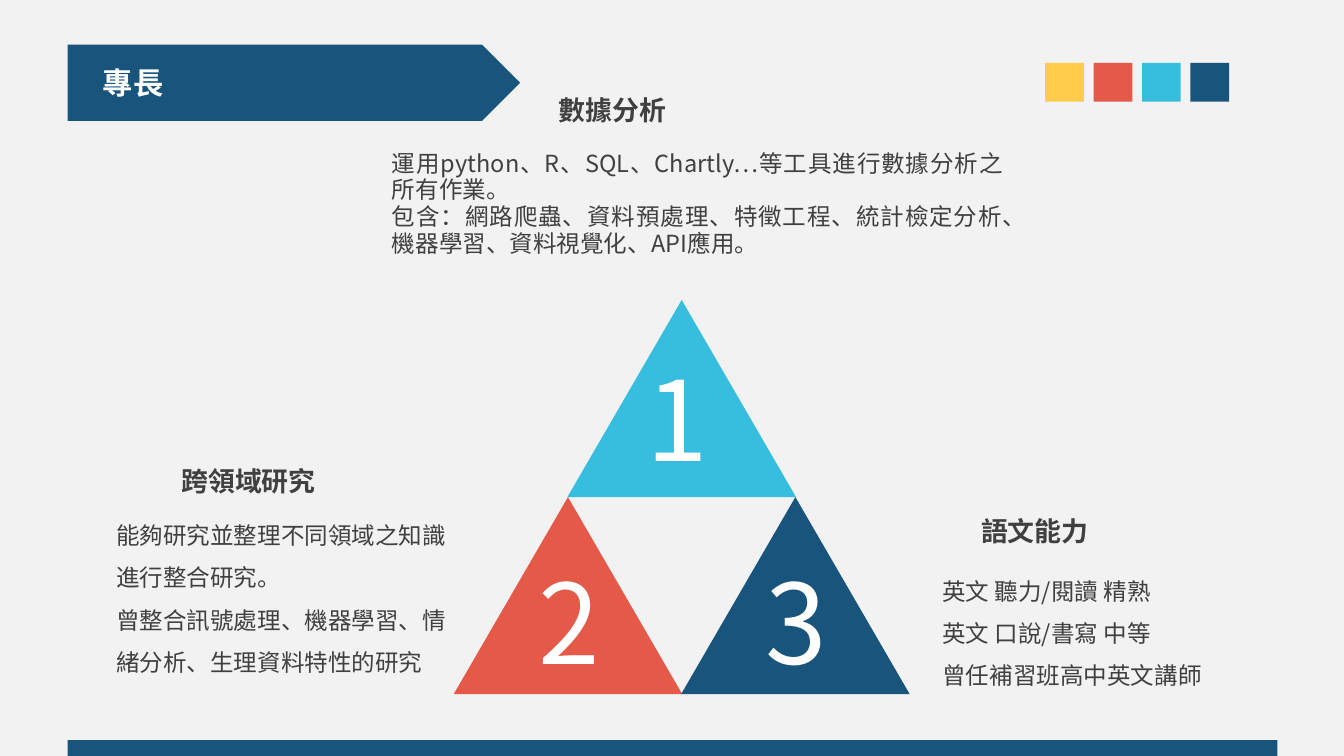
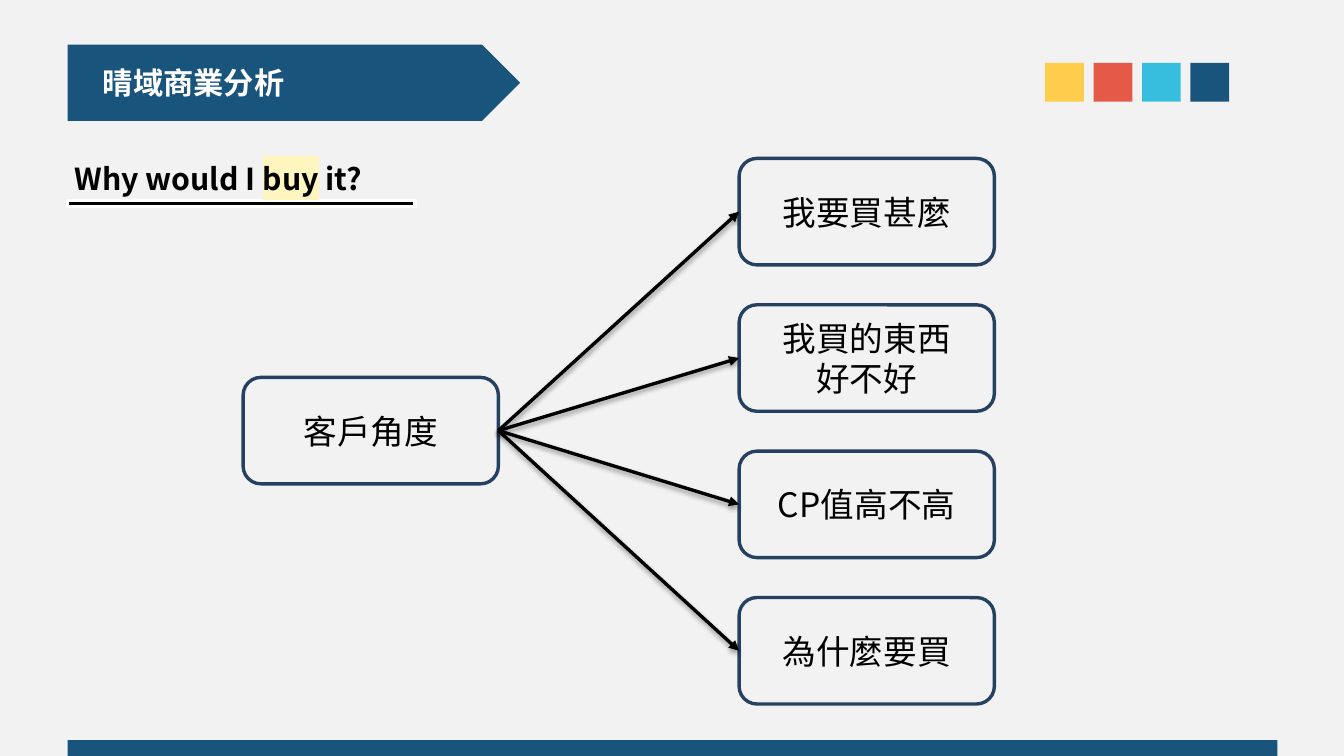
from dataclasses import dataclass

from lxml import etree
from pptx import Presentation
from pptx.dml.color import RGBColor
from pptx.enum import shapes, text
from pptx.oxml.ns import qn
from pptx.util import Inches, Pt

FONT = "Noto Sans CJK SC"
NAVY, RED, CYAN, YELLOW = "19547C", "E55948", "37BEDE", "FFCC4C"
PAPER, INK, BLACK, WHITE = "F2F2F2", "404040", "000000", "FFFFFF"
OUTLINE, MARKER = "254061", "FEF5BF"
KIND = shapes.MSO_SHAPE
ALIGN = text.PP_ALIGN


@dataclass
class Style:
    size: float
    colour: str = INK
    bold: bool = False
    align: ALIGN = ALIGN.LEFT
    spacing: object = None
    inset: tuple = (0.1, 0.05)


@dataclass
class Skill:
    heading: str
    heading_at: tuple
    body: str
    body_at: tuple
    body_style: Style


@dataclass
class Tile:
    digit: str
    column: int
    row: int
    colour: str
    digit_at: tuple


TITLE = Style(18, WHITE, True)
QUESTION = Style(18, BLACK, True)
DIGIT = Style(66, WHITE, align=ALIGN.CENTER)
NODE = Style(20, BLACK, align=ALIGN.CENTER)
HEADING = Style(16, INK, True, ALIGN.JUSTIFY, Pt(16), (0.13, 0.07))
DENSE = Style(14, INK, False, ALIGN.JUSTIFY, Pt(16), (0.13, 0.07))
AIRY = Style(14, INK, False, ALIGN.LEFT, 1.5, (0.13, 0.07))

SKILLS = [
    Skill("數據分析", (4.49, 0.75, 2.03, 0.36),
          "運用python、R、SQL、Chartly…等工具進行數據分析之所有作業。\n"
          "包含：網路爬蟲、資料預處理、特徵工程、統計檢定分析、機器學習、資料視覺化、API應用。",
          (3.11, 1.17, 5.31, 1.03), DENSE),
    Skill("跨領域研究", (1.37, 3.82, 2.41, 0.36),
          "能夠研究並整理不同領域之知識進行整合研究。\n"
          "曾整合訊號處理、機器學習、情緒分析、生理資料特性的研究",
          (0.83, 4.12, 3.05, 1.51), AIRY),
    Skill("語文能力", (7.98, 4.23, 2.41, 0.36),
          "英文 聽力/閱讀 精熟\n英文 口說/書寫 中等\n曾任補習班高中英文講師",
          (7.66, 4.58, 3.05, 1.16), AIRY),
]
TILES = [
    Tile("1", 1, 0, CYAN, (5.2, 2.85)),
    Tile("2", 0, 1, RED, (4.31, 4.53)),
    Tile("3", 2, 1, NAVY, (6.18, 4.53)),
]
QUESTIONS = ["我要買甚麼", "我買的東西\n好不好", "CP值高不高", "為什麼要買"]


def rgb(colour: str) -> RGBColor:
    return RGBColor.from_string(colour)


def lengths(place: tuple) -> list:
    return [Inches(value) for value in place]


def format_span(span, style: Style) -> None:
    font = span.font
    font.size, font.bold, font.name = Pt(style.size), style.bold, FONT
    font.color.rgb = rgb(style.colour)
    latin = span._r.rPr.find(qn("a:latin"))
    east_asian = etree.Element(qn("a:ea"), typeface=FONT)
    latin.addnext(east_asian)


def format_frame(frame, style: Style) -> None:
    frame.word_wrap = True
    frame.margin_left = frame.margin_right = Inches(style.inset[0])
    frame.margin_top = frame.margin_bottom = Inches(style.inset[1])
    for para in frame.paragraphs:
        para.alignment = style.align
        if style.spacing is not None:
            para.line_spacing = style.spacing
        for span in para.runs:
            format_span(span, style)


def add_text(page, place: tuple, words: str, style: Style):
    box = page.shapes.add_textbox(*lengths(place))
    box.text_frame.text = words
    format_frame(box.text_frame, style)
    return box


def add_block(page, kind, place: tuple, fill: str = "", line: str = ""):
    block = page.shapes.add_shape(kind, *lengths(place))
    block.shadow.inherit = False
    if fill:
        block.fill.solid()
        block.fill.fore_color.rgb = rgb(fill)
    else:
        block.fill.background()
    if line:
        block.line.color.rgb = rgb(line)
        block.line.width = Pt(2)
    else:
        block.line.fill.background()
    return block


def add_page(deck, words: str):
    page = deck.slides.add_slide(deck.slide_layouts[5])
    add_block(page, KIND.PENTAGON, (0.56, 0.37, 3.74, 0.63), NAVY)
    add_block(page, KIND.RECTANGLE, (0.56, 6.12, 10, 0.16), NAVY)
    for index, colour in enumerate((YELLOW, RED, CYAN, NAVY)):
        add_block(page, KIND.RECTANGLE, (8.64 + 0.4 * index, 0.52, 0.32, 0.32), colour)
    title = page.shapes.title
    title.left, title.top, title.width, title.height = lengths((0.75, 0.48, 3.1, 0.4))
    title.text_frame.text = words
    title.text_frame.auto_size = text.MSO_AUTO_SIZE.NONE
    title.text_frame.vertical_anchor = text.MSO_ANCHOR.TOP
    format_frame(title.text_frame, TITLE)
    title.element.getparent().append(title.element)
    return page


def add_node(page, left: float, top: float, words: str):
    node = add_block(page, KIND.ROUNDED_RECTANGLE, (left, top, 2.11, 0.88), line=OUTLINE)
    node.text_frame.text = words
    node.text_frame.vertical_anchor = text.MSO_ANCHOR.MIDDLE
    format_frame(node.text_frame, NODE)
    return node


def add_arrow(page, start, end) -> None:
    arrow = page.shapes.add_connector(shapes.MSO_CONNECTOR.STRAIGHT, 0, 0, 0, 0)
    arrow.begin_connect(start, 3)
    arrow.end_connect(end, 1)
    arrow.line.color.rgb = rgb(BLACK)
    arrow.line.width = Pt(2)
    properties = arrow.element.spPr
    etree.SubElement(properties.find(qn("a:ln")), qn("a:tailEnd"), type="triangle")
    effects = etree.SubElement(properties, qn("a:effectLst"))
    shadow = etree.SubElement(effects, qn("a:outerShdw"), blurRad=str(Pt(3.1)),
                              dist=str(Pt(1.6)), dir="5400000", rotWithShape="0")
    tint = etree.SubElement(shadow, qn("a:srgbClr"), val=BLACK)
    etree.SubElement(tint, qn("a:alpha"), val="38000")


def highlight(span, colour: str) -> None:
    marker = etree.Element(qn("a:highlight"))
    etree.SubElement(marker, qn("a:srgbClr"), val=colour)
    span._r.rPr.find(qn("a:solidFill")).addnext(marker)


def build_skills(deck) -> None:
    page = add_page(deck, "專長")
    for tile in TILES:
        place = (3.75 + 0.94 * tile.column, 2.48 + 1.63 * tile.row, 1.89, 1.63)
        add_block(page, KIND.ISOSCELES_TRIANGLE, place, tile.colour)
    for skill in SKILLS:
        add_text(page, skill.body_at, skill.body, skill.body_style)
        add_text(page, skill.heading_at, skill.heading, HEADING)
    for tile in TILES:
        add_text(page, (*tile.digit_at, 0.8, 1.21), tile.digit, DIGIT)


def build_customer_view(deck) -> None:
    page = add_page(deck, "晴域商業分析")
    add_block(page, KIND.RECTANGLE, (0.56, 1.66, 2.87, 0.05), BLACK, WHITE)
    question = add_text(page, (0.52, 1.28, 3.23, 0.4), "", QUESTION)
    para = question.text_frame.paragraphs[0]
    for words in ("Why would I ", "buy", " it?"):
        span = para.add_run()
        span.text = words
        format_span(span, QUESTION)
    highlight(para.runs[1], MARKER)
    hub = add_node(page, 2.01, 3.12, "客戶角度")
    for index, words in enumerate(QUESTIONS):
        add_arrow(page, hub, add_node(page, 6.11, 1.31 + 1.21 * index, words))


def main() -> None:
    deck = Presentation()
    deck.slide_width, deck.slide_height = Inches(11.11), Inches(6.25)
    backdrop = deck.slide_master.background.fill
    backdrop.solid()
    backdrop.fore_color.rgb = rgb(PAPER)
    build_skills(deck)
    build_customer_view(deck)
    deck.save("out.pptx")


if __name__ == "__main__":
    main()
